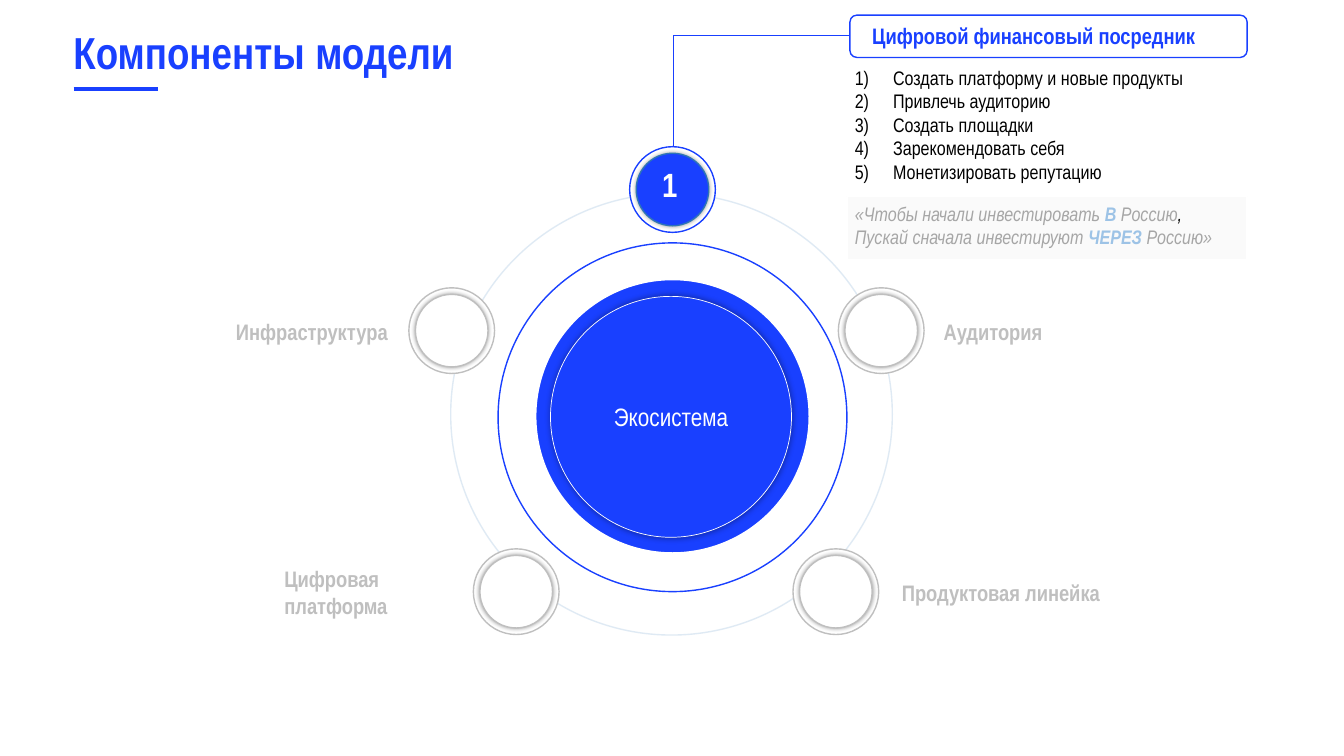
"""Build the slide about the components of the ecosystem model."""
from lxml import etree
from pptx import Presentation
from pptx import util as u
from pptx.dml import color
from pptx.enum import shapes, text
from pptx.oxml import ns

HUES = {"blue": "1940FF", "steel": "2E75B6", "sky": "9DC3E6", "white": "FFFFFF",
        "black": "000000", "gray": "BFBFBF", "ash": "A6A6A6", "pale": "F2F2F2"}
KINDS = shapes.MSO_SHAPE
LINKS = shapes.MSO_CONNECTOR


def rgb(hue):
    """Return the named colour."""
    return color.RGBColor.from_string(HUES[hue])


def node(root, tag, **atts):
    """Append an XML element with the given attributes."""
    item = etree.SubElement(root, ns.qn(tag))
    for key, val in atts.items():
        item.set(key, str(val))
    return item


def fade(fill, part):
    """Make a solid fill partly transparent."""
    tint = fill._xPr.find(ns.qn("a:solidFill"))[0]
    node(tint, "a:alpha", val=part * 1000)


def write(para, words, size=14, hue="black", bold=False, slant=False):
    """Add a formatted run to a paragraph."""
    run = para.add_run()
    run.text = words
    font = run.font
    font.name, font.size = "Arial Narrow", u.Pt(size)
    font.bold, font.italic = bold, slant
    font.color.rgb = rgb(hue)


class Board:
    """Hold the style and the current slide."""

    def __init__(self, deck):
        """Open a blank slide."""
        self.items = deck.slides.add_slide(deck.slide_layouts[6]).shapes

    def shape(self, kind, box, fill=None, line="blue", width=1, alpha=None, blur=None, glow=40):
        """Draw a preset shape, with a soft shadow when blur is given."""
        item = self.items.add_shape(kind, *map(u.Inches, box))
        item.shadow.inherit = False
        if fill:
            item.fill.solid()
            item.fill.fore_color.rgb = rgb(fill)
            if alpha:
                fade(item.fill, alpha)
        else:
            item.fill.background()
        item.line.color.rgb = rgb(line)
        item.line.width = u.Pt(width)
        if blur:
            list_ = item._element.spPr.find(ns.qn("a:effectLst"))
            cast = node(list_, "a:outerShdw", blurRad=u.Pt(blur), dist=0,
                        algn="ctr", rotWithShape=0)
            tint = node(cast, "a:srgbClr", val=HUES["black"])
            node(tint, "a:alpha", val=glow * 1000)
        return item

    def disc(self, x, y, size, **look):
        """Draw a circle around a centre."""
        return self.shape(KINDS.OVAL, (x - size / 2, y - size / 2, size, size), **look)

    def badge(self, x, y, rim="gray", core="white", edge="gray"):
        """Draw a node of two nested circles."""
        self.disc(x, y, 0.85, fill="white", line=rim)
        self.disc(x, y, 0.72, fill=core, line=edge, blur=3, glow=35)

    def link(self, start, end, width, kind=LINKS.STRAIGHT):
        """Draw a blue connector."""
        item = self.items.add_connector(kind, *map(u.Inches, start + end))
        item.line.color.rgb = rgb("blue")
        item.line.width = u.Pt(width)
        node(item._element.spPr, "a:effectLst")
        return item

    def label(self, box, rows, inset=True, middle=False, wrap=True,
              align=text.PP_ALIGN.LEFT, **look):
        """Add a text box; a row is a string or a list of (words, format)."""
        frame = self.items.add_textbox(*map(u.Inches, box)).text_frame
        frame.word_wrap = wrap
        if not inset:
            frame.margin_left = frame.margin_right = 0
            frame.margin_top = frame.margin_bottom = 0
        if middle:
            frame.vertical_anchor = text.MSO_ANCHOR.MIDDLE
        for num, row in enumerate(rows):
            para = frame.add_paragraph() if num else frame.paragraphs[0]
            para.alignment = align
            for words, extra in [(row, {})] if isinstance(row, str) else row:
                write(para, words, **{**look, **extra})
        return frame


def main():
    """Compose and save the slide."""
    deck = Presentation()
    deck.slide_width, deck.slide_height = u.Inches(13.33), u.Inches(7.5)
    board = Board(deck)
    board.shape(KINDS.RECTANGLE, (8.4, 1.95, 3.97, 0.63), fill="pale", line="white", alpha=35)
    board.shape(KINDS.ROUNDED_RECTANGLE, (8.43, 0.15, 3.94, 0.42))
    title = board.label((0.63, 0.13, 4.13, 0.83), ["Компоненты модели"],
                        middle=True, size=32, hue="blue", bold=True)
    title.paragraphs[0].line_spacing = 0.9
    board.link((0.73, 0.88), (1.57, 0.88), 3)

    orbit = board.disc(6.66, 4.11, 4.38, line="steel")
    fade(orbit.line.fill, 15)
    board.disc(6.67, 4.14, 3.46)
    board.disc(6.67, 4.13, 2.74, fill="blue", line="white", width=3)
    hub = board.disc(6.655, 4.135, 2.39, fill="blue", line="white", width=0.5, blur=5)
    hub.text_frame.vertical_anchor = text.MSO_ANCHOR.MIDDLE
    para = hub.text_frame.paragraphs[0]
    para.alignment = text.PP_ALIGN.CENTER
    write(para, "Экосистема", size=18, hue="white")

    board.badge(6.67, 1.88, rim="blue", core="blue", edge="steel")
    for x, y in ((4.48, 3.28), (5.12, 5.87), (8.74, 3.28), (8.29, 5.87)):
        board.badge(x, y)

    left, right = text.PP_ALIGN.LEFT, text.PP_ALIGN.RIGHT
    for box, rows, hue, align in (
            ((8.65, 0.22, 3.25, 0.27), ["Цифровой финансовый посредник"], "blue", left),
            ((2.34, 3.15, 1.52, 0.27), ["Инфраструктура"], "gray", left),
            ((2.82, 5.6, 1.68, 0.54), ["Цифровая", "платформа"], "gray", left),
            ((9.36, 3.15, 1, 0.27), ["Аудитория"], "gray", left),
            ((8.92, 5.74, 1.99, 0.27), ["Продуктовая линейка"], "gray", right)):
        board.label(box, rows, inset=False, middle=True, wrap=len(rows) > 1,
                    align=align, size=16, hue=hue, bold=True)

    bend = board.link((8.1, 1.78), (7.01, 0.02), 0.5, LINKS.ELBOW)
    props = bend._element.spPr
    props.find(ns.qn("a:xfrm")).set("rot", "5400000")
    props.find(ns.qn("a:prstGeom")).set("prst", "bentConnector2")

    steps = board.label((8.38, 0.6, 3.76, 1.3), [
        "Создать платформу и новые продукты", "Привлечь аудиторию",
        "Создать площадки", "Зарекомендовать себя", "Монетизировать репутацию"])
    for para in steps.paragraphs:
        props = para._p.get_or_add_pPr()
        props.set("marL", str(u.Inches(0.38)))
        props.set("indent", str(-u.Inches(0.38)))
        node(props, "a:buFont", typeface="+mj-lt")
        node(props, "a:buAutoNum", type="arabicParenR")

    mark = {"hue": "sky", "bold": True}
    board.label((8.38, 1.95, 4.02, 0.57), [
        [("«Чтобы начали инвестировать ", {}), ("В ", mark), ("Россию", {}),
         (",", {"hue": "black"})],
        [("Пускай сначала инвестируют ", {}), ("ЧЕРЕЗ ", mark), ("Россию»", {})]],
        hue="ash", slant=True)
    board.label((6.47, 1.58, 1.07, 0.5), ["1"], size=24, hue="white", bold=True)
    deck.save("out.pptx")


if __name__ == "__main__":
    main()
